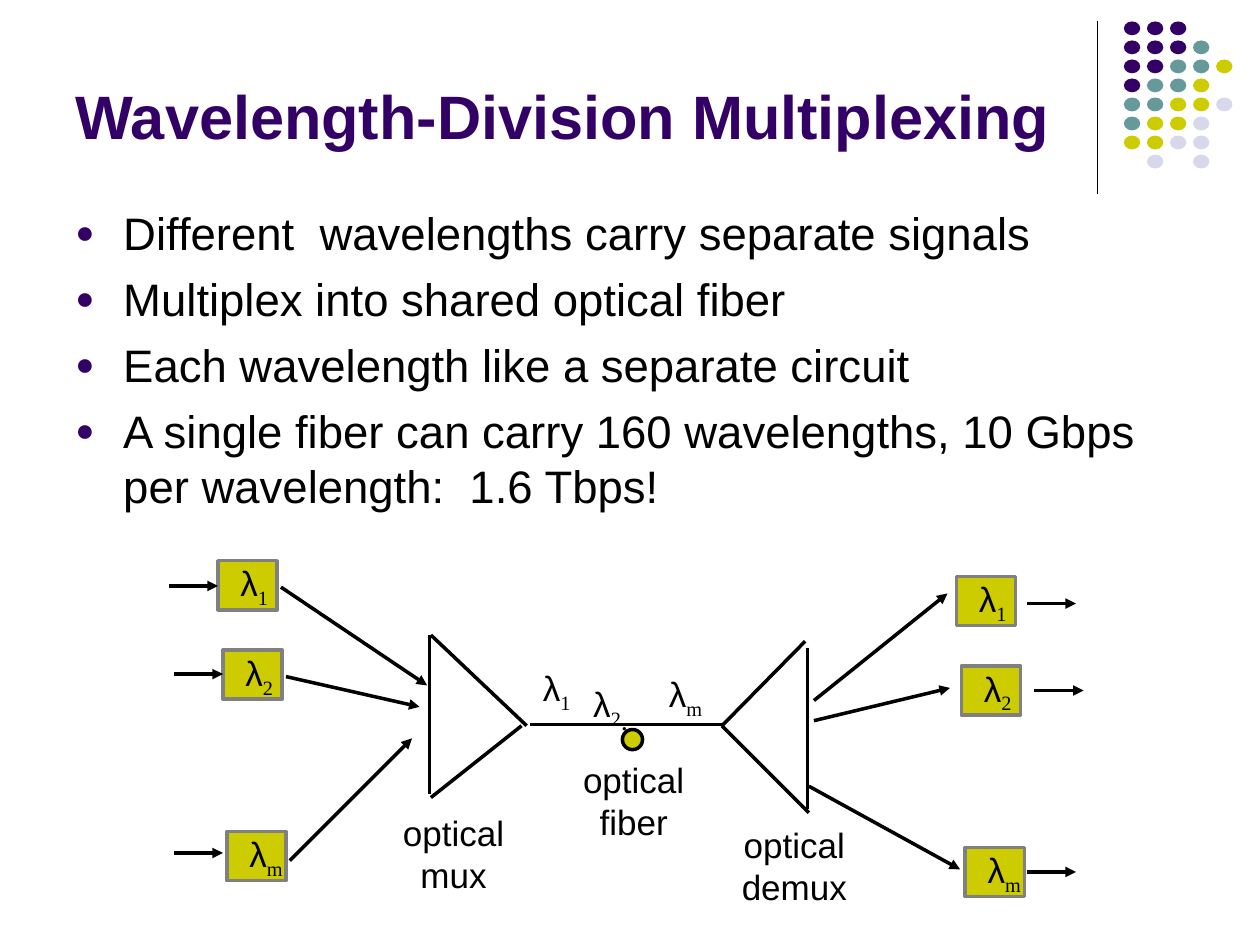
from dataclasses import dataclass

from lxml import etree
from pptx import Presentation
from pptx.dml.color import RGBColor
from pptx.enum.shapes import MSO_CONNECTOR, MSO_SHAPE
from pptx.enum.text import MSO_ANCHOR, MSO_AUTO_SIZE, PP_ALIGN
from pptx.oxml.ns import qn
from pptx.util import Inches, Pt

STRAIGHT = MSO_CONNECTOR.STRAIGHT
ELLIPSE, RECTANGLE = MSO_SHAPE.OVAL, MSO_SHAPE.RECTANGLE
LEFT, CENTER = PP_ALIGN.LEFT, PP_ALIGN.CENTER
BOTTOM = MSO_ANCHOR.BOTTOM
FIXED_SIZE, FIT_TEXT = MSO_AUTO_SIZE.NONE, MSO_AUTO_SIZE.SHAPE_TO_FIT_TEXT


@dataclass(frozen=True)
class Theme:
    purple: str = "330066"
    teal: str = "669999"
    yellow: str = "CCCC00"
    lavender: str = "D8D8EC"
    gray: str = "808080"
    black: str = "000000"
    font: str = "Arial"
    subscript_font: str = "Times New Roman"
    title_size: int = 35
    body_size: int = 26
    label_size: int = 20
    period_size: int = 28
    rule_width: float = 0.75
    line_width: float = 2


THEME = Theme()

# The slide is a grid of 100 columns by 75 rows; every place is (column, row).
SLIDE_WIDTH, SLIDE_HEIGHT = Inches(10), Inches(7.5)
CELL = SLIDE_WIDTH / 100

TITLE = "Wavelength-Division Multiplexing"
BULLETS = [
    "Different  wavelengths carry separate signals",
    "Multiplex into shared optical fiber",
    "Each wavelength like a separate circuit",
    "A single fiber can carry 160 wavelengths, 10 Gbps per wavelength:  1.6 Tbps!",
]

DOT_ROWS = ["PPP", "PPPT", "PPTTY", "PTTY", "TTYYL", "TYYL", "YYLL", " L L"]
DOT_COLORS = {"P": THEME.purple, "T": THEME.teal, "Y": THEME.yellow, "L": THEME.lavender}
DOT_ORIGIN, DOT_PITCH, DOT_SIZE = (89.2, 1.7), (1.83, 1.51), (1.3, 1.1)

BOX_SIZE = (4.7, 3.9)
LABEL_OFFSET = (0.8, -0.4)
SOURCE_BOXES = {"1": (17.3, 44.5), "2": (17.7, 51.6), "m": (18, 66)}
RECEIVER_SHIFT = (58.6, 1.25)
FIBER_LABELS = [("1", "", (42.1, 52.4)), ("2", ".", (46.1, 52.6)), ("m", "", (52.1, 52.9))]
CAPTION_SIZE = (13, 7.6)
CAPTIONS = [  # words, (center column, top row)
    (("optical", "mux"), (36, 63.9)),
    (("optical", "demux"), (63.05, 64.9)),
    (("optical", "fiber"), (50.3, 59.7)),
]
FIBER_RING = (49.4, 57.9, 1.6, 1.6)

STUB_LENGTH = 3.9
STUB_STARTS = [(13.4, 46.5), (13.8, 53.5), (13.8, 67.7),
               (81.5, 47.9), (82.1, 54.8), (81.5, 69.2)]
ARROWS = [
    ((22.3, 46.6), (33.9, 54.4)), ((22.7, 53.7), (33.3, 56.1)), ((23, 68.3), (32.7, 58.6)),
    ((64.6, 55.6), (75.2, 47.1)), ((64.6, 57.2), (75.4, 54.6)), ((64.2, 62.4), (76.2, 69)),
] + [((column, row), (column + STUB_LENGTH, row)) for column, row in STUB_STARTS]
PLAIN_LINES = [
    ((34.1, 50.4), (34.1, 63)), ((34.2, 50.4), (41.8, 57.6)), ((34.2, 63.3), (41.4, 57.6)),
    ((42.1, 57.5), (57.3, 57.5)),
    ((57.3, 57.6), (63.9, 50.9)), ((64.1, 51.4), (64.1, 64.2)), ((64.2, 64.5), (57.3, 57.6)),
]


def cells(*values):
    return [round(value * CELL) for value in values]


def color(code):
    return RGBColor.from_string(code)


def add_line(shapes, start, end, width=THEME.line_width, arrow=False):
    connector = shapes.add_connector(STRAIGHT, *cells(*start, *end))
    connector.line.color.rgb = color(THEME.black)
    connector.line.width = Pt(width)
    if arrow:
        etree.SubElement(connector.line._get_or_add_ln(), qn("a:tailEnd"), type="triangle")
    etree.SubElement(connector._element.spPr, qn("a:effectLst"))


def add_filled(shapes, kind, place, fill, outline=None):
    shape = shapes.add_shape(kind, *cells(*place))
    shape.shadow.inherit = False
    shape.fill.solid()
    shape.fill.fore_color.rgb = color(fill)
    if outline:
        shape.line.color.rgb = color(outline)
        shape.line.width = Pt(THEME.line_width)
    else:
        shape.line.fill.background()


def add_text(shapes, place, paragraphs, align=LEFT, wrap=False):
    """Each paragraph is a list of (text, size, is_subscript, bold, color) runs."""
    box = shapes.add_textbox(*cells(*place))
    frame = box.text_frame
    frame.word_wrap = wrap
    frame.auto_size = FIXED_SIZE if wrap else FIT_TEXT
    for index, runs in enumerate(paragraphs):
        paragraph = frame.paragraphs[0] if index == 0 else frame.add_paragraph()
        paragraph.alignment = align
        for text, size, is_subscript, bold, code in runs:
            run = paragraph.add_run()
            run.text = text
            run.font.size = Pt(size)
            run.font.bold = bold
            run.font.color.rgb = color(code)
            run.font.name = THEME.subscript_font if is_subscript else THEME.font
            if is_subscript:
                run._r.get_or_add_rPr().set("baseline", "-25000")
    return frame


def plain_run(text, size=THEME.label_size, bold=False, code=THEME.black):
    return (text, size, False, bold, code)


def add_wavelength(shapes, index, corner, ending=""):
    runs = [plain_run("λ"), (index, THEME.label_size, True, False, THEME.black)]
    if ending:
        runs.append((ending, THEME.period_size, True, False, THEME.black))
    size = (4.9, 6.3) if ending else (4.8 if index == "m" else 4.3, 4.8)
    add_text(shapes, (*corner, *size), [runs])


def add_bullet(paragraph):
    properties = paragraph._p.get_or_add_pPr()
    properties.set("marL", str(Inches(0.38)))
    properties.set("indent", str(-Inches(0.38)))
    bullet_color = etree.SubElement(properties, qn("a:buClr"))
    etree.SubElement(bullet_color, qn("a:srgbClr"), val=THEME.purple)
    etree.SubElement(properties, qn("a:buSzPct"), val="70000")
    etree.SubElement(properties, qn("a:buFont"), typeface=THEME.font)
    etree.SubElement(properties, qn("a:buChar"), char="●")


def add_dots(shapes):
    for row, letters in enumerate(DOT_ROWS):
        for column, letter in enumerate(letters):
            if letter in DOT_COLORS:
                corner = [origin + step * pitch for origin, step, pitch
                          in zip(DOT_ORIGIN, (column, row), DOT_PITCH)]
                add_filled(shapes, ELLIPSE, (*corner, *DOT_SIZE), DOT_COLORS[letter])


def add_diagram(shapes):
    for shift in ((0, 0), RECEIVER_SHIFT):
        for index, corner in SOURCE_BOXES.items():
            left, top = corner[0] + shift[0], corner[1] + shift[1]
            add_filled(shapes, RECTANGLE, (left, top, *BOX_SIZE), THEME.yellow, THEME.gray)
            add_wavelength(shapes, index, (left + LABEL_OFFSET[0], top + LABEL_OFFSET[1]))
    for start, end in ARROWS:
        add_line(shapes, start, end, arrow=True)
    for start, end in PLAIN_LINES:
        add_line(shapes, start, end)
    for index, ending, corner in FIBER_LABELS:
        add_wavelength(shapes, index, corner, ending)
    add_filled(shapes, ELLIPSE, FIBER_RING, THEME.yellow, THEME.black)
    for words, (center, top) in CAPTIONS:
        place = (center - CAPTION_SIZE[0] / 2, top, *CAPTION_SIZE)
        add_text(shapes, place, [[plain_run(word)] for word in words], CENTER, wrap=True)


def main():
    presentation = Presentation()
    presentation.slide_width, presentation.slide_height = SLIDE_WIDTH, SLIDE_HEIGHT
    slide = presentation.slides.add_slide(presentation.slide_layouts[6])
    add_line(slide.shapes, (87.1, 1.7), (87.1, 15.4), THEME.rule_width)
    add_dots(slide.shapes.add_group_shape().shapes)
    title = [plain_run(TITLE, THEME.title_size, True, THEME.purple)]
    title_frame = add_text(slide.shapes, (5, 1.3, 82.5, 11.2), [title], wrap=True)
    title_frame.vertical_anchor = BOTTOM
    bullets = [[plain_run(text, THEME.body_size)] for text in BULLETS]
    body_frame = add_text(slide.shapes, (5, 15.8, 90, 26.4), bullets, wrap=True)
    for paragraph in body_frame.paragraphs:
        paragraph.space_before = Pt(6.5)
        add_bullet(paragraph)
    add_diagram(slide.shapes.add_group_shape().shapes)
    presentation.save("out.pptx")


if __name__ == "__main__":
    main()
